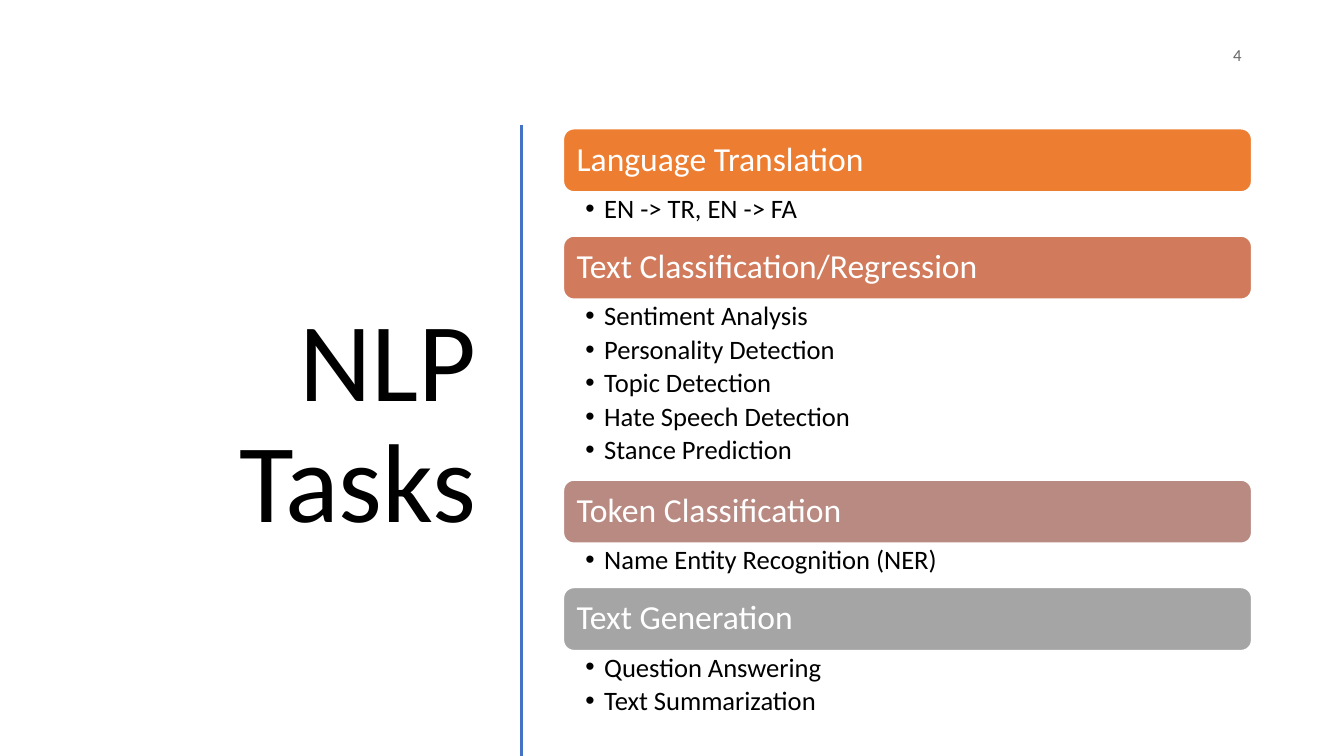
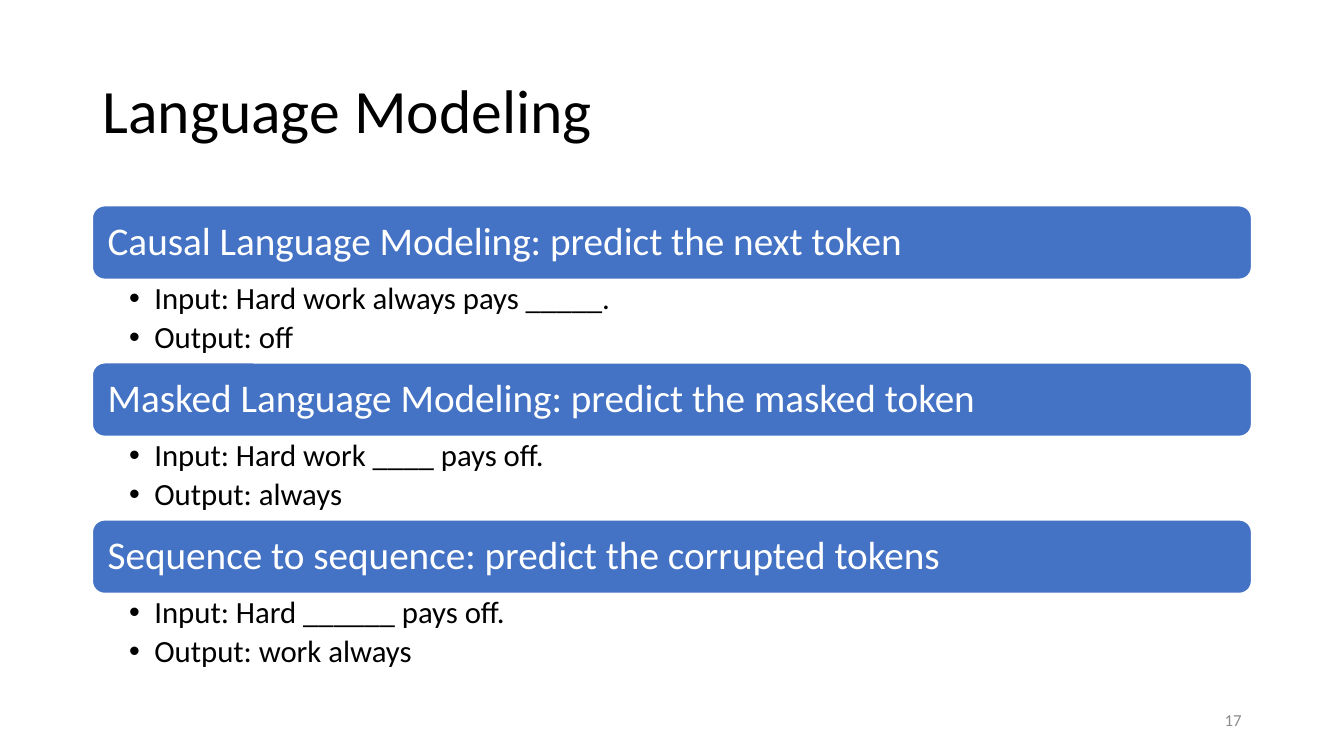
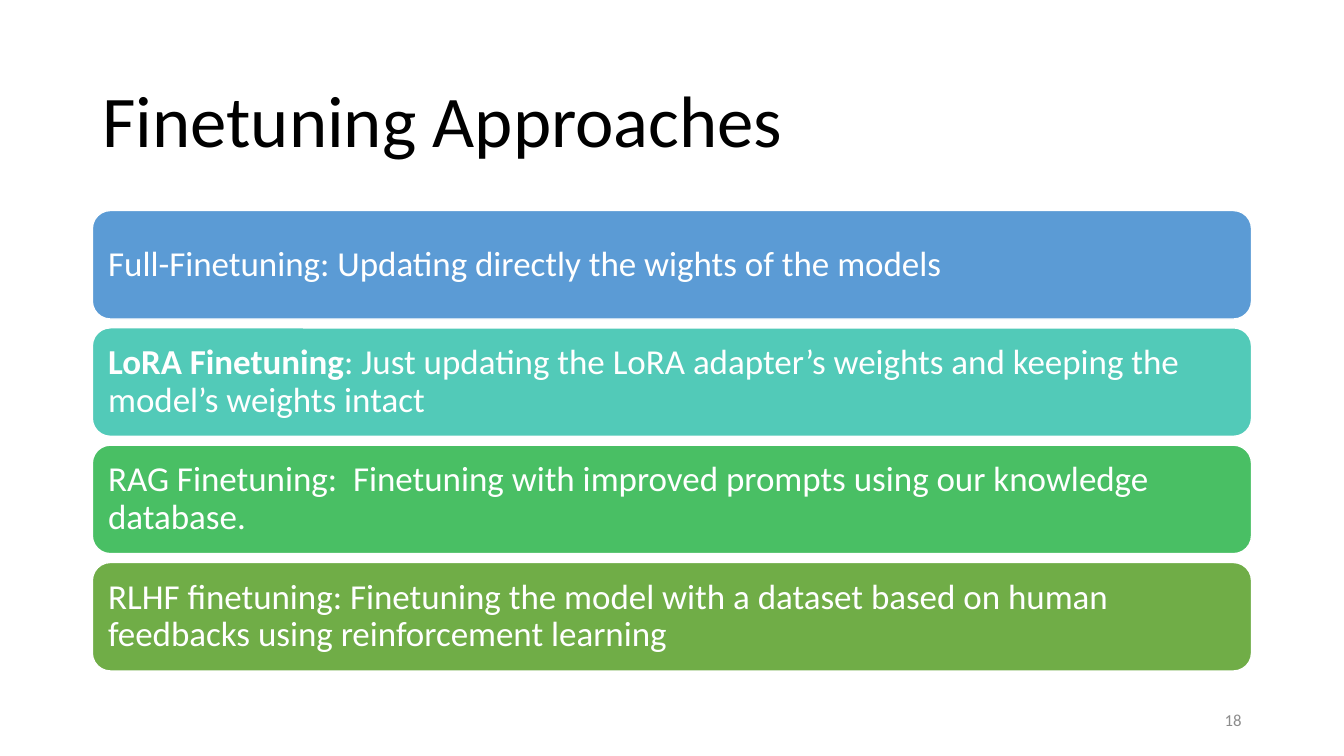
from dataclasses import dataclass

from lxml.etree import SubElement
from pptx import Presentation
from pptx.dml.color import RGBColor
from pptx.enum.shapes import MSO_CONNECTOR, MSO_SHAPE
from pptx.enum.text import MSO_ANCHOR, MSO_AUTO_SIZE, PP_ALIGN
from pptx.oxml.ns import qn
from pptx.util import Pt

FONT = "Calibri"
BLACK = RGBColor(0x00, 0x00, 0x00)
WHITE = RGBColor(0xFF, 0xFF, 0xFF)
DARK_GREY = RGBColor(0x66, 0x66, 0x66)
MID_GREY = RGBColor(0x8C, 0x8C, 0x8C)
BLUE = RGBColor(0x44, 0x72, 0xC4)
ORANGE = RGBColor(0xED, 0x7D, 0x31)
TERRACOTTA = RGBColor(0xD1, 0x7B, 0x5C)
ROSE = RGBColor(0xB9, 0x8A, 0x82)
SILVER = RGBColor(0xA5, 0xA5, 0xA5)
SKY = RGBColor(0x5B, 0x9B, 0xD5)
TEAL = RGBColor(0x52, 0xCA, 0xB8)
GREEN = RGBColor(0x49, 0xBF, 0x64)
OLIVE = RGBColor(0x70, 0xAD, 0x47)

SLIDE_W, SLIDE_H = 960, 540
CONTENT_LEFT, CONTENT_W = 66, 828
NUMBER_W, NUMBER_H = 216, 28.8
TITLE_ONLY = 5
LINE_SPACING = 0.9


@dataclass
class ListStyle:
    """Sizes of a list of headed bands, in points."""
    band_h: float
    band_size: float
    bullet_size: float
    bullet_left: float
    bullet_indent: float
    line_h: float
    pad: float


TASK_STYLE = ListStyle(45, 24, 19, 15.6, 13.5, 24.4, 7.3)
MODEL_STYLE = ListStyle(52.5, 28, 22, 26.3, 18, 28, 3.7)

TASKS = [
    ("Language Translation", ORANGE, ["EN -> TR, EN -> FA"]),
    ("Text Classification/Regression", TERRACOTTA,
     ["Sentiment Analysis", "Personality Detection", "Topic Detection",
      "Hate Speech Detection", "Stance Prediction"]),
    ("Token Classification", ROSE, ["Name Entity Recognition (NER)"]),
    ("Text Generation", SILVER, ["Question Answering", "Text Summarization"]),
]
MODELS = [
    ("Causal Language Modeling: predict the next token", BLUE,
     ["Input: Hard work always pays _____.", "Output: off"]),
    ("Masked Language Modeling: predict the masked token", BLUE,
     ["Input: Hard work ____ pays off.", "Output: always"]),
    ("Sequence to sequence: predict the corrupted tokens", BLUE,
     ["Input: Hard ______ pays off.", "Output: work always"]),
]
# Bold lead, remaining text, band colour
APPROACHES = [
    ("", "Full-Finetuning: Updating directly the wights of the models", SKY),
    ("LoRA Finetuning", ": Just updating the LoRA adapter’s weights and "
     "keeping the model’s weights intact", TEAL),
    ("", "RAG Finetuning:  Finetuning with improved prompts using our "
     "knowledge database.", GREEN),
    ("", "RLHF finetuning: Finetuning the model with a dataset based on "
     "human feedbacks using reinforcement learning", OLIVE),
]


def format_paragraph(paragraph, size, color, align=PP_ALIGN.LEFT):
    paragraph.alignment = align
    paragraph.line_spacing = LINE_SPACING
    paragraph.font.name = FONT
    paragraph.font.size = Pt(size)
    paragraph.font.color.rgb = color


def set_margins(frame, left, top, right, bottom):
    frame.margin_left, frame.margin_top = Pt(left), Pt(top)
    frame.margin_right, frame.margin_bottom = Pt(right), Pt(bottom)


def add_titled_slide(prs, text, box, size, align=PP_ALIGN.LEFT):
    slide = prs.slides.add_slide(prs.slide_layouts[TITLE_ONLY])
    title = slide.shapes.title
    title.left, title.top, title.width, title.height = map(Pt, box)
    frame = title.text_frame
    frame.text = text
    frame.word_wrap = True
    frame.auto_size = MSO_AUTO_SIZE.NONE
    frame.vertical_anchor = MSO_ANCHOR.MIDDLE
    format_paragraph(frame.paragraphs[0], size, BLACK, align)
    return slide


def add_number(slide, number, top=500.4, color=MID_GREY):
    left = CONTENT_LEFT + CONTENT_W - NUMBER_W
    frame = slide.shapes.add_textbox(
        Pt(left), Pt(top), Pt(NUMBER_W), Pt(NUMBER_H)).text_frame
    frame.text = number
    frame.word_wrap = True
    frame.vertical_anchor = MSO_ANCHOR.MIDDLE
    format_paragraph(frame.paragraphs[0], 12, color, PP_ALIGN.RIGHT)


def add_band(slide, box, lead, text, color, size):
    band = slide.shapes.add_shape(MSO_SHAPE.ROUNDED_RECTANGLE, *map(Pt, box))
    band.shadow.inherit = False
    band.fill.solid()
    band.fill.fore_color.rgb = color
    band.line.color.rgb = WHITE
    band.line.width = Pt(1)
    frame = band.text_frame
    frame.word_wrap = True
    frame.vertical_anchor = MSO_ANCHOR.MIDDLE
    inset = 0.3 * size
    set_margins(frame, inset, inset, inset, inset)
    paragraph = frame.paragraphs[0]
    format_paragraph(paragraph, size, WHITE)
    for part, bold in ((lead, True), (text, False)):
        if part:
            run = paragraph.add_run()
            run.text = part
            run.font.bold = bold


def add_bullets(slide, box, items, style):
    frame = slide.shapes.add_textbox(*map(Pt, box)).text_frame
    frame.word_wrap = True
    set_margins(frame, style.bullet_left, 2.5, 14, 2.5)
    frame.text = "\n".join(items)
    for paragraph in frame.paragraphs:
        properties = paragraph._p.get_or_add_pPr()
        properties.set("marL", str(Pt(style.bullet_indent)))
        properties.set("indent", str(-Pt(style.bullet_indent)))
        SubElement(properties, qn("a:buFont"), typeface="Arial")
        SubElement(properties, qn("a:buChar"), char="•")
        format_paragraph(paragraph, style.bullet_size, BLACK)
        paragraph.space_after = Pt(round(0.18 * style.bullet_size, 1))


def add_headed_list(slide, left, top, width, sections, style):
    """Stack bands, each followed by its bullets."""
    for heading, color, items in sections:
        add_band(slide, (left, top, width, style.band_h), "", heading, color,
                 style.band_size)
        top += style.band_h
        bullets_h = len(items) * style.line_h + style.pad
        add_bullets(slide, (left, top, width, bullets_h), items, style)
        top += bullets_h


def add_divider(slide, x, top, bottom):
    divider = slide.shapes.add_connector(
        MSO_CONNECTOR.STRAIGHT, Pt(x), Pt(top), Pt(x), Pt(bottom))
    divider.line.color.rgb = BLUE
    divider.line.width = Pt(2)
    SubElement(divider._element.spPr, qn("a:effectLst"))


def build_tasks(prs):
    slide = add_titled_slide(prs, "NLP Tasks", (37.5, 84.25, 310, 440), 80,
                             PP_ALIGN.RIGHT)
    add_number(slide, "4", 25.4, DARK_GREY)
    add_divider(slide, 372.4, 89, SLIDE_H)
    add_headed_list(slide, 402.5, 92, 491.5, TASKS, TASK_STYLE)


def build_models(prs):
    slide = add_titled_slide(prs, "Language Modeling",
                             (CONTENT_LEFT, 28.75, CONTENT_W, 104.4), 44)
    add_number(slide, "17")
    add_headed_list(slide, CONTENT_LEFT, 147, CONTENT_W, MODELS, MODEL_STYLE)


def build_approaches(prs):
    slide = add_titled_slide(prs, "Finetuning Approaches",
                             (CONTENT_LEFT, 44, CONTENT_W, 89), 52)
    add_number(slide, "18")
    top, band_h, pitch = 150.4, 77.5, 83.8
    for row, (lead, text, color) in enumerate(APPROACHES):
        add_band(slide, (CONTENT_LEFT, top + row * pitch, CONTENT_W, band_h),
                 lead, text, color, 25)


def main():
    prs = Presentation()
    prs.slide_width, prs.slide_height = Pt(SLIDE_W), Pt(SLIDE_H)
    build_tasks(prs)
    build_models(prs)
    build_approaches(prs)
    prs.save("out.pptx")


if __name__ == "__main__":
    main()
